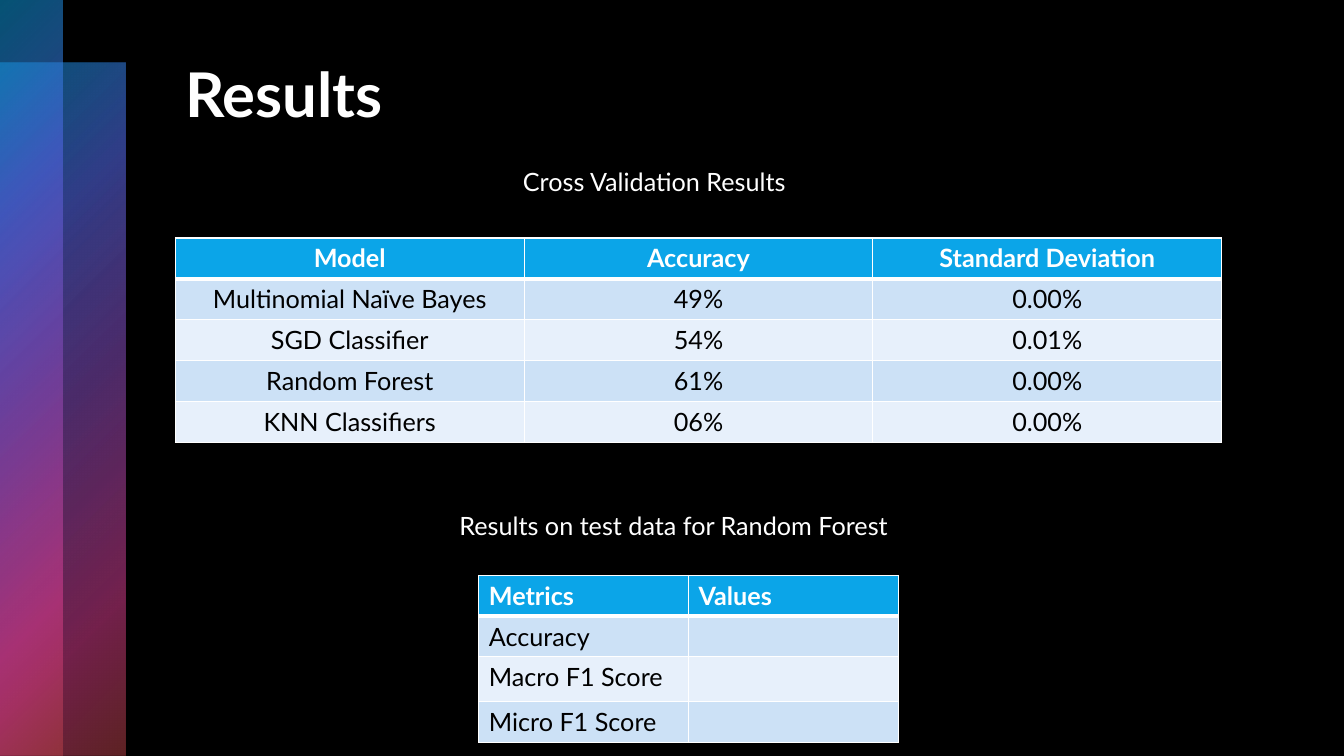
from dataclasses import dataclass

from lxml import etree
from pptx import Presentation
from pptx import util as u
from pptx.dml import color
from pptx.enum import shapes, text
from pptx.oxml import ns, parse_xml

FONT = "Lato"
WHITE, BLACK, HEADER = "FFFFFF", "000000", "0BA5E8"
BANDS = ("CCE1F6", "E7F0FB")
CENTER, LEFT = text.PP_ALIGN.CENTER, text.PP_ALIGN.LEFT
# position %, colour, opacity %
GRADIENT = (
    (0, "0BA5E8", 50),
    (25, "5066E1", 60),
    (50, "894EC0", 55),
    (81, "E54196", 50),
    (99, "BE4449", 50),
)


@dataclass
class Box:
    left: float
    top: float
    width: float
    height: float

    def lengths(self) -> list[u.Pt]:
        return [u.Pt(v) for v in (self.left, self.top, self.width, self.height)]


@dataclass
class Label:
    box: Box
    words: str
    size: float = 18
    bold: bool = False
    wrap: bool = True
    anchor: text.MSO_ANCHOR = text.MSO_ANCHOR.TOP


@dataclass
class Grid:
    box: Box
    row_heights: list[float]
    rows: list[tuple[str, ...]]
    align: text.PP_ALIGN


STRIPS = [Box(0, 44.6, 89.3, 495.4), Box(0, 0, 44.6, 540)]

LABELS = [
    Label(Box(125.3, 36, 746.6, 60.5), "Results", 44, True,
          anchor=text.MSO_ANCHOR.MIDDLE),
    Label(Box(366.5, 115.2, 227.5, 28.8), "Cross Validation Results"),
    Label(Box(321.1, 360.7, 346.3, 28.8),
          "Results on test data for Random Forest", wrap=False),
]

GRIDS = [
    Grid(Box(125.3, 170, 747.4, 146), [29.2] * 5, [
        ("Model", "Accuracy", "Standard Deviation"),
        ("Multinomial Naïve Bayes", "49%", "0.00%"),
        ("SGD Classifier", "54%", "0.01%"),
        ("Random Forest", "61%", "0.00%"),
        ("KNN Classifiers", "06%", "0.00%"),
    ], CENTER),
    Grid(Box(342, 411, 299.6, 118.8), [29.2, 29, 32, 29], [
        ("Metrics", "Values"),
        ("Accuracy", ""),
        ("Macro F1 Score", ""),
        ("Micro F1 Score", ""),
    ], LEFT),
]


def rgb(value: str) -> color.RGBColor:
    return color.RGBColor.from_string(value)


def style(p, size: float, fill: str, bold: bool, align=LEFT) -> None:
    p.alignment = align
    p.font.name = FONT
    p.font.size = u.Pt(size)
    p.font.bold = bold
    p.font.color.rgb = rgb(fill)


def add_strip(slide, box: Box) -> None:
    """Add a see-through band whose gradient spreads from its top left corner."""
    sp = slide.shapes.add_shape(shapes.MSO_SHAPE.RECTANGLE, *box.lengths())
    sp.shadow.inherit = False
    sp.line.fill.background()
    stops = "".join(
        f'<a:gs pos="{pos * 1000}"><a:srgbClr val="{value}">'
        f'<a:alpha val="{alpha * 1000}"/></a:srgbClr></a:gs>'
        for pos, value, alpha in GRADIENT
    )
    gradient = parse_xml(
        f'<a:gradFill {ns.nsdecls("a")} rotWithShape="1"><a:gsLst>{stops}</a:gsLst>'
        '<a:path path="circle"><a:fillToRect r="100000" b="100000"/></a:path>'
        '</a:gradFill>'
    )
    sp._element.spPr.find(ns.qn("a:prstGeom")).addnext(gradient)


def add_label(slide, label: Label) -> None:
    tf = slide.shapes.add_textbox(*label.box.lengths()).text_frame
    tf.word_wrap = label.wrap
    tf.vertical_anchor = label.anchor
    p = tf.paragraphs[0]
    p.text = label.words
    style(p, label.size, WHITE, label.bold)


def set_borders(cell, widths: dict[str, float]) -> None:
    """Draw white cell borders, with widths keyed by side in schema order."""
    tcPr = cell._tc.get_or_add_tcPr()
    for i, (side, width) in enumerate(widths.items()):
        ln = etree.Element(ns.qn(f"a:ln{side}"), w=str(u.Pt(width)))
        fill = etree.SubElement(ln, ns.qn("a:solidFill"))
        etree.SubElement(fill, ns.qn("a:srgbClr"), val=WHITE)
        tcPr.insert(i, ln)


def add_grid(slide, grid: Grid) -> None:
    n_cols = len(grid.rows[0])
    table = slide.shapes.add_table(
        len(grid.rows), n_cols, *grid.box.lengths()).table
    for col in table.columns:
        col.width = u.Pt(grid.box.width / n_cols)
    for i, (height, words) in enumerate(zip(grid.row_heights, grid.rows)):
        table.rows[i].height = u.Pt(height)
        is_header = i == 0
        for j, word in enumerate(words):
            cell = table.cell(i, j)
            cell.fill.solid()
            cell.fill.fore_color.rgb = rgb(
                HEADER if is_header else BANDS[(i - 1) % 2])
            set_borders(cell, {"L": 1, "R": 1, "T": 3 if i == 1 else 1,
                               "B": 3 if is_header else 1})
            p = cell.text_frame.paragraphs[0]
            if word:
                p.text = word
            style(p, 18, WHITE if is_header else BLACK, is_header, grid.align)


def main() -> None:
    prs = Presentation()
    prs.slide_width, prs.slide_height = u.Pt(960), u.Pt(540)
    slide = prs.slides.add_slide(prs.slide_layouts[6])
    slide.background.fill.solid()
    slide.background.fill.fore_color.rgb = rgb(BLACK)
    for strip in STRIPS:
        add_strip(slide, strip)
    for label in LABELS:
        add_label(slide, label)
    for grid in GRIDS:
        add_grid(slide, grid)
    prs.save("out.pptx")


if __name__ == "__main__":
    main()
